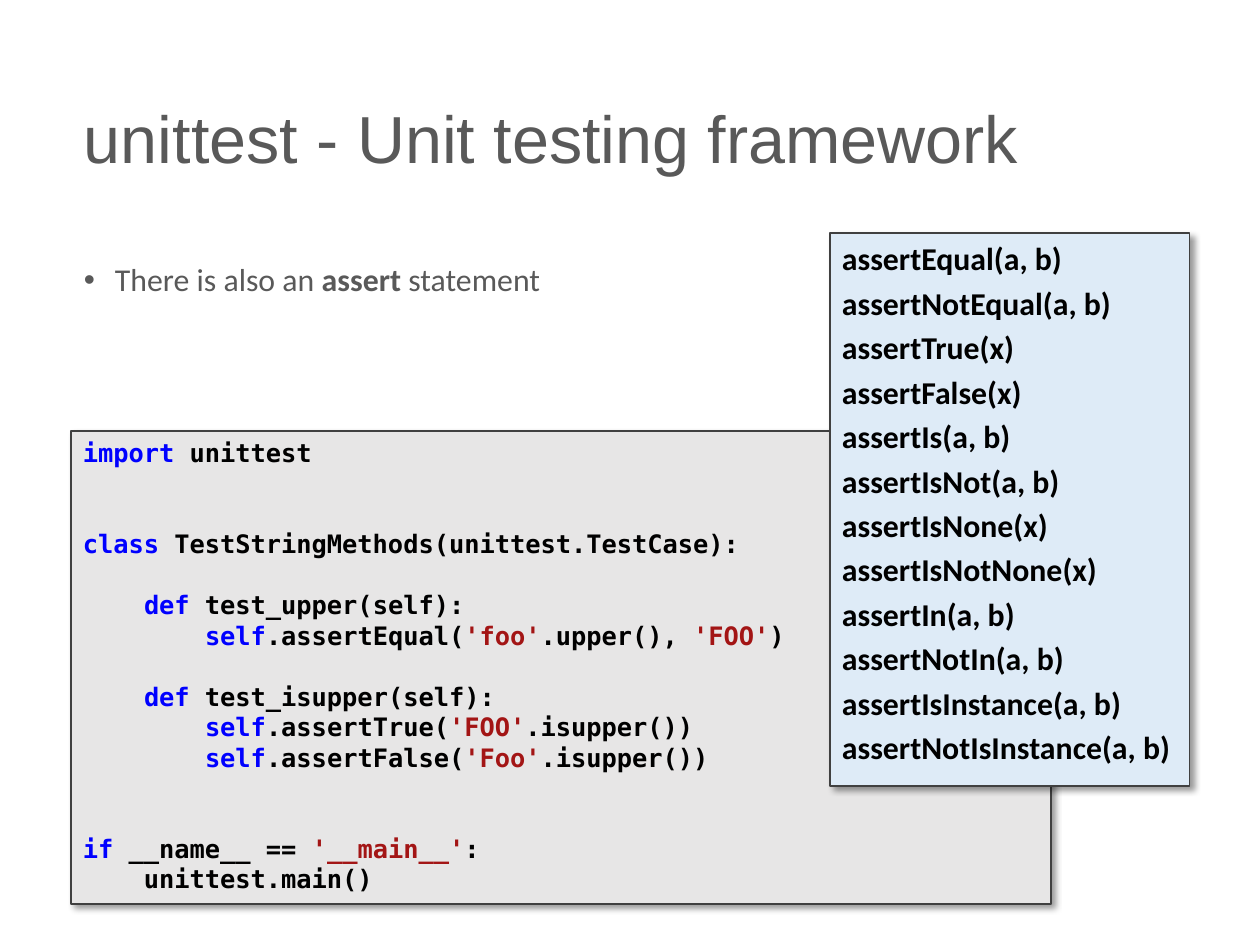
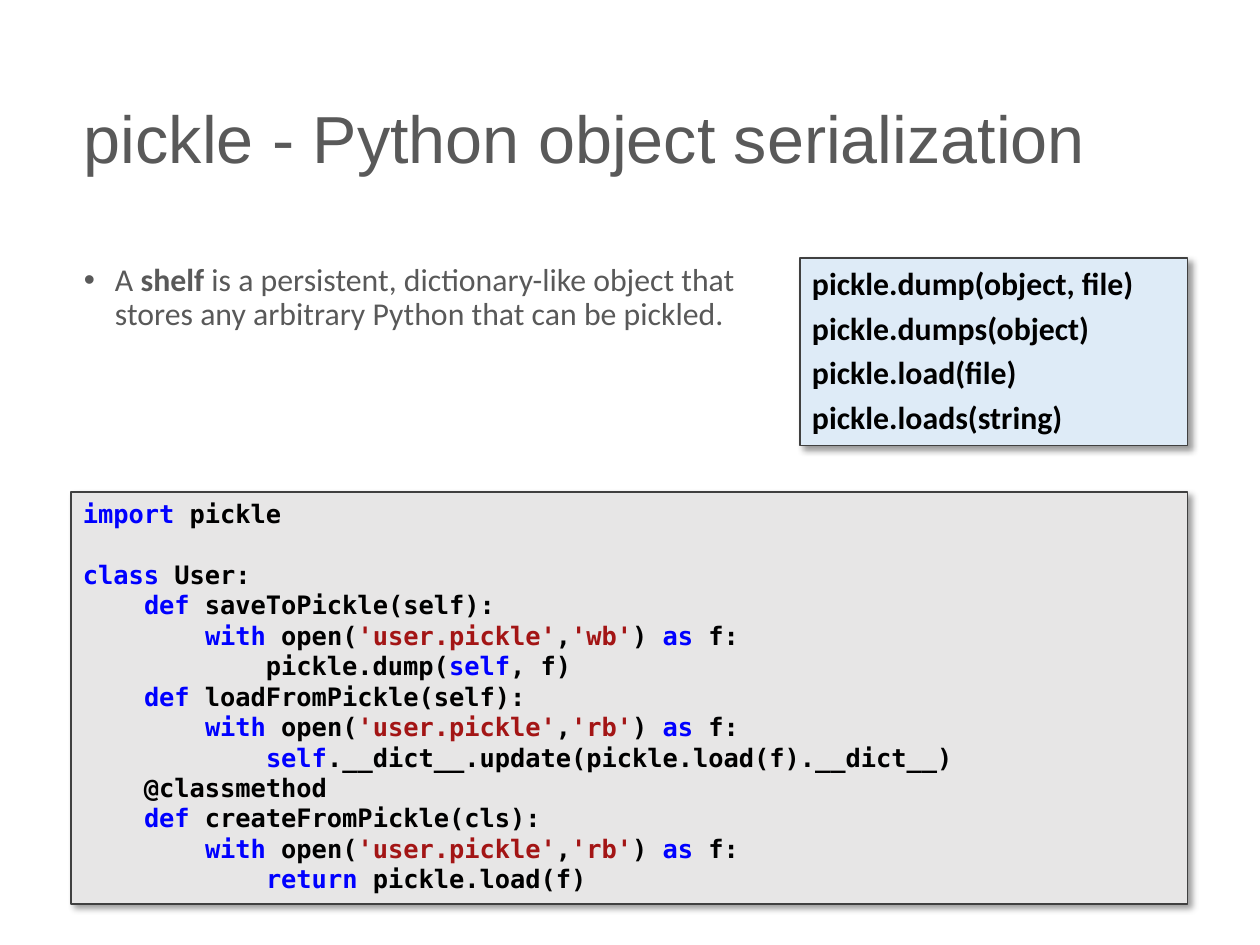
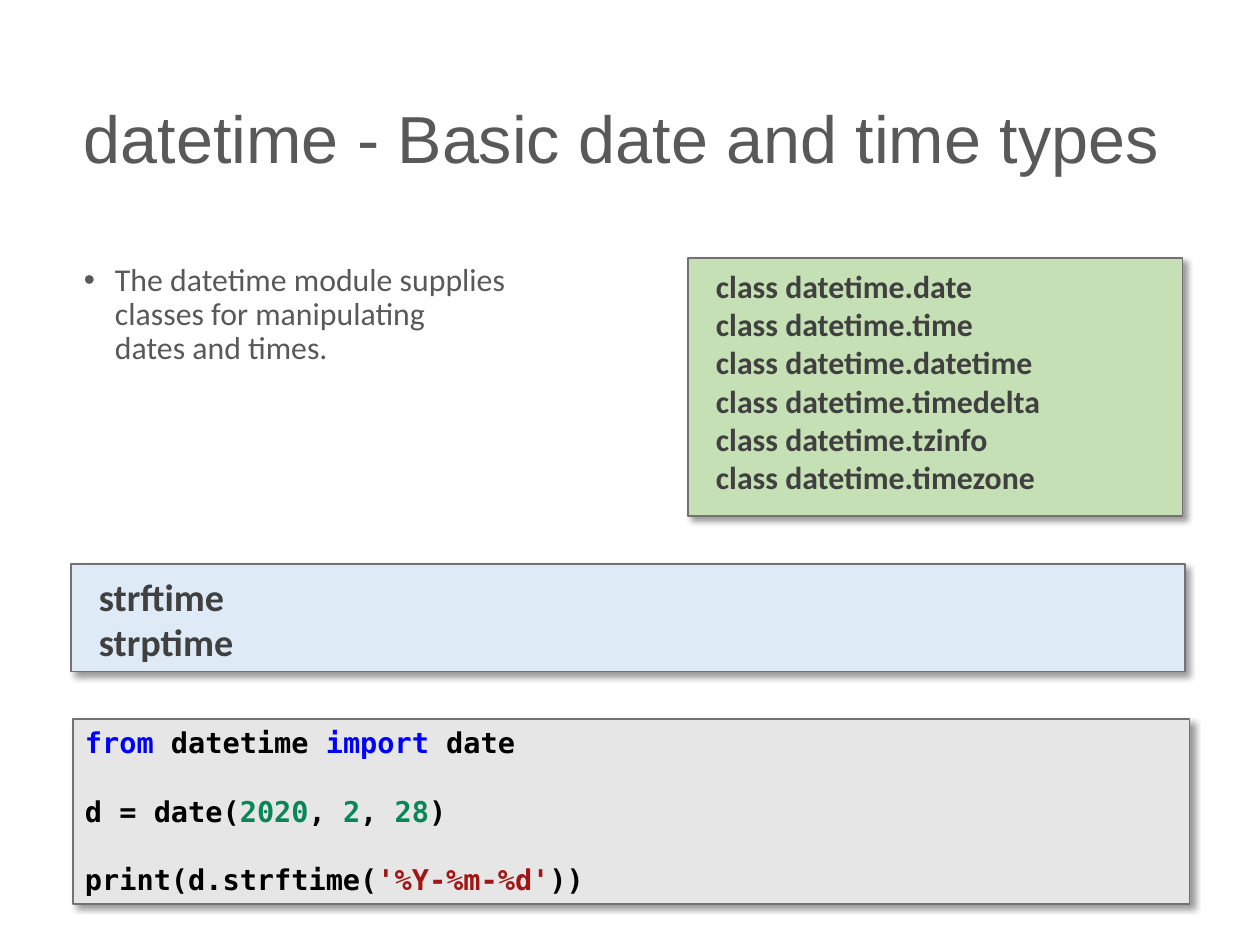
from dataclasses import dataclass

from lxml import etree
from pptx import Presentation
from pptx.dml.color import RGBColor
from pptx.enum.shapes import MSO_SHAPE
from pptx.enum.text import MSO_ANCHOR, PP_ALIGN
from pptx.oxml.ns import qn
from pptx.util import Pt

RECT = MSO_SHAPE.RECTANGLE
LEFT = PP_ALIGN.LEFT
TOP, MID = MSO_ANCHOR.TOP, MSO_ANCHOR.MIDDLE
PX = 8000
PAD = (12, 6, 12, 6)
WIDE = (28, 9, 12, 6)


@dataclass(frozen=True)
class Theme:
    """Colours, fonts and type sizes of the deck."""
    text: str = "595959"
    dark: str = "404040"
    edge: str = "767171"
    black: str = "000000"
    gray: str = "E7E6E6"
    blue: str = "DEEBF7"
    green: str = "C5E0B4"
    key: str = "0000FF"
    quote: str = "A31515"
    digit: str = "098658"
    head: str = "Arial"
    sans: str = "Calibri"
    mono: str = "DejaVu Sans Mono"
    title: float = 41.9
    large: int = 24
    body: int = 20
    demo: int = 18
    code: int = 16
    lead: float = 1.2


T = Theme()

TESTS = """`import` unittest


`class` TestStringMethods(unittest.TestCase):

    `def` test_upper(self):
        `self`.assertEqual(`'foo'`.upper(), `'FOO'`)

    `def` test_isupper(self):
        `self`.assertTrue(`'FOO'`.isupper())
        `self`.assertFalse(`'Foo'`.isupper())


`if` __name__ == `'__main__'`:
    unittest.main()"""

PICKLE = """`import` pickle

`class` User:
    `def` saveToPickle(self):
        `with` open(`'user.pickle'`,`'wb'`) `as` f:
            pickle.dump(`self`, f)
    `def` loadFromPickle(self):
        `with` open(`'user.pickle'`,`'rb'`) `as` f:
            `self`.__dict__.update(pickle.load(f).__dict__)
    @classmethod
    `def` createFromPickle(cls):
        `with` open(`'user.pickle'`,`'rb'`) `as` f:
            `return` pickle.load(f)"""

DATES = """`from` datetime `import` date

d = date(`2020`, `2`, `28`)

print(d.strftime(`'%Y-%m-%d'`))"""

ASSERTS = (
    "assertEqual(a, b)", "assertNotEqual(a, b)", "assertTrue(x)",
    "assertFalse(x)", "assertIs(a, b)", "assertIsNot(a, b)",
    "assertIsNone(x)", "assertIsNotNone(x)", "assertIn(a, b)",
    "assertNotIn(a, b)", "assertIsInstance(a, b)",
    "assertNotIsInstance(a, b)",
)
DUMPS = ("pickle.dump(object, file)", "pickle.dumps(object)",
         "pickle.load(file)", "pickle.loads(string)")
KINDS = ("date", "time", "datetime", "timedelta", "tzinfo", "timezone")


def emu(box):
    """Turn px lengths into EMU."""
    return [n * PX for n in box]


def setup(frame, pad=PAD, anchor=TOP):
    """Set wrap, insets and anchor of a text frame."""
    frame.word_wrap = True
    frame.vertical_anchor = anchor
    (frame.margin_left, frame.margin_top,
     frame.margin_right, frame.margin_bottom) = emu(pad)
    return frame


def add_run(para, text, font, size, color, bold=False):
    """Add one styled run."""
    run = para.add_run()
    run.text = text
    run.font.name = font
    run.font.size = Pt(size)
    run.font.bold = bold
    run.font.color.rgb = RGBColor.from_string(color)


def pieces(text):
    """Yield the non-empty parts of a text and whether each is marked."""
    for i, part in enumerate(text.split("`")):
        if part:
            yield part, i % 2 == 1


def next_para(frame, i, gap=0):
    """Return paragraph i, with space before all but the first."""
    para = frame.add_paragraph() if i else frame.paragraphs[0]
    para.alignment = LEFT
    para.space_before = Pt(gap if i else 0)
    return para


def add_title(slide, text):
    """Add the slide title."""
    box = slide.shapes.add_textbox(*emu((72, 50, 1116, 183)))
    para = next_para(setup(box.text_frame, anchor=MID), 0)
    para.line_spacing = 0.9
    add_run(para, text, T.head, T.title, T.text)


def add_point(slide, text, width=1116, height=620):
    """Add a bullet point whose marked words are bold."""
    box = slide.shapes.add_textbox(*emu((72, 258, width, height)))
    para = next_para(setup(box.text_frame), 0)
    para.line_spacing = 0.9
    props = para._p.get_or_add_pPr()
    props.set("marL", str(31 * PX))
    props.set("indent", str(-31 * PX))
    etree.SubElement(props, qn("a:buFont")).set("typeface", T.head)
    etree.SubElement(props, qn("a:buChar")).set("char", "•")
    for i, line in enumerate(text.split("\n")):
        if i:
            para.add_line_break()
        for part, bold in pieces(line):
            add_run(para, part, T.sans, T.body, T.text, bold)


def add_shade(shape):
    """Give a shape a soft shadow to the lower right."""
    shape.shadow.inherit = False
    effects = shape.element.spPr.find(qn("a:effectLst"))
    outer = etree.SubElement(effects, qn("a:outerShdw"), blurRad=str(Pt(4)),
                             dist=str(Pt(3)), dir="2700000", algn="tl",
                             rotWithShape="0")
    color = etree.SubElement(outer, qn("a:srgbClr"), val=T.black)
    etree.SubElement(color, qn("a:alpha"), val="40000")


def add_panel(slide, box, fill, edge, pad=PAD):
    """Add a shaded panel and return its text frame."""
    shape = slide.shapes.add_shape(RECT, *emu(box))
    shape.fill.solid()
    shape.fill.fore_color.rgb = RGBColor.from_string(fill)
    shape.line.color.rgb = RGBColor.from_string(edge)
    shape.line.width = Pt(0.75)
    add_shade(shape)
    return setup(shape.text_frame, pad)


def add_list(frame, lines, color, size=T.body, gap=0):
    """Fill a panel with bold lines."""
    for i, line in enumerate(lines):
        add_run(next_para(frame, i, gap), line, T.sans, size, color, True)


def tint(part):
    """Pick the colour of a marked code token."""
    if part[0] == "'":
        return T.quote
    return T.digit if part[0].isdigit() else T.key


def add_code(slide, box, code, edge=T.dark, size=T.code):
    """Add a code panel; empty lines become space before."""
    frame = add_panel(slide, box, T.gray, edge)
    count = skip = 0
    for line in code.split("\n"):
        if not line:
            skip += 1
            continue
        para = next_para(frame, count, skip * size * T.lead)
        for part, marked in pieces(line):
            color = tint(part) if marked else T.black
            add_run(para, part, T.mono, size, color, True)
        count, skip = count + 1, 0


def unit_slide(slide):
    """Build the slide on unit tests."""
    add_code(slide, (71, 431, 980, 473), TESTS)
    add_point(slide, "There is also an `assert` statement")
    add_title(slide, "unittest - Unit testing framework")
    frame = add_panel(slide, (830, 233, 360, 553), T.blue, T.dark)
    add_list(frame, ASSERTS, T.black, gap=4)


def pickle_slide(slide):
    """Build the slide on object storage."""
    add_code(slide, (71, 492, 1117, 412), PICKLE)
    add_point(slide, "A `shelf` is a persistent, dictionary-like object that "
              "stores any arbitrary Python that can be pickled.", 693, 537)
    add_title(slide, "pickle - Python object serialization")
    frame = add_panel(slide, (800, 258, 388, 188), T.blue, T.dark)
    add_list(frame, DUMPS, T.black, gap=4)


def date_slide(slide):
    """Build the slide on dates and times."""
    add_point(slide, "The datetime module supplies\n"
              "classes for manipulating\ndates and times.")
    add_title(slide, "datetime - Basic date and time types")
    frame = add_panel(slide, (71, 564, 1114, 108), T.blue, T.edge, WIDE)
    add_list(frame, ("strftime", "strptime"), T.dark, T.large)
    add_code(slide, (73, 719, 1117, 185), DATES, T.edge, T.demo)
    frame = add_panel(slide, (688, 258, 495, 258), T.green, T.edge, WIDE)
    add_list(frame, [f"class datetime.{kind}" for kind in KINDS], T.dark)


def main():
    """Build and save the deck."""
    deck = Presentation()
    deck.slide_width, deck.slide_height = emu((1260, 945))
    for build in (unit_slide, pickle_slide, date_slide):
        build(deck.slides.add_slide(deck.slide_layouts[6]))
    deck.save("out.pptx")


if __name__ == "__main__":
    main()
